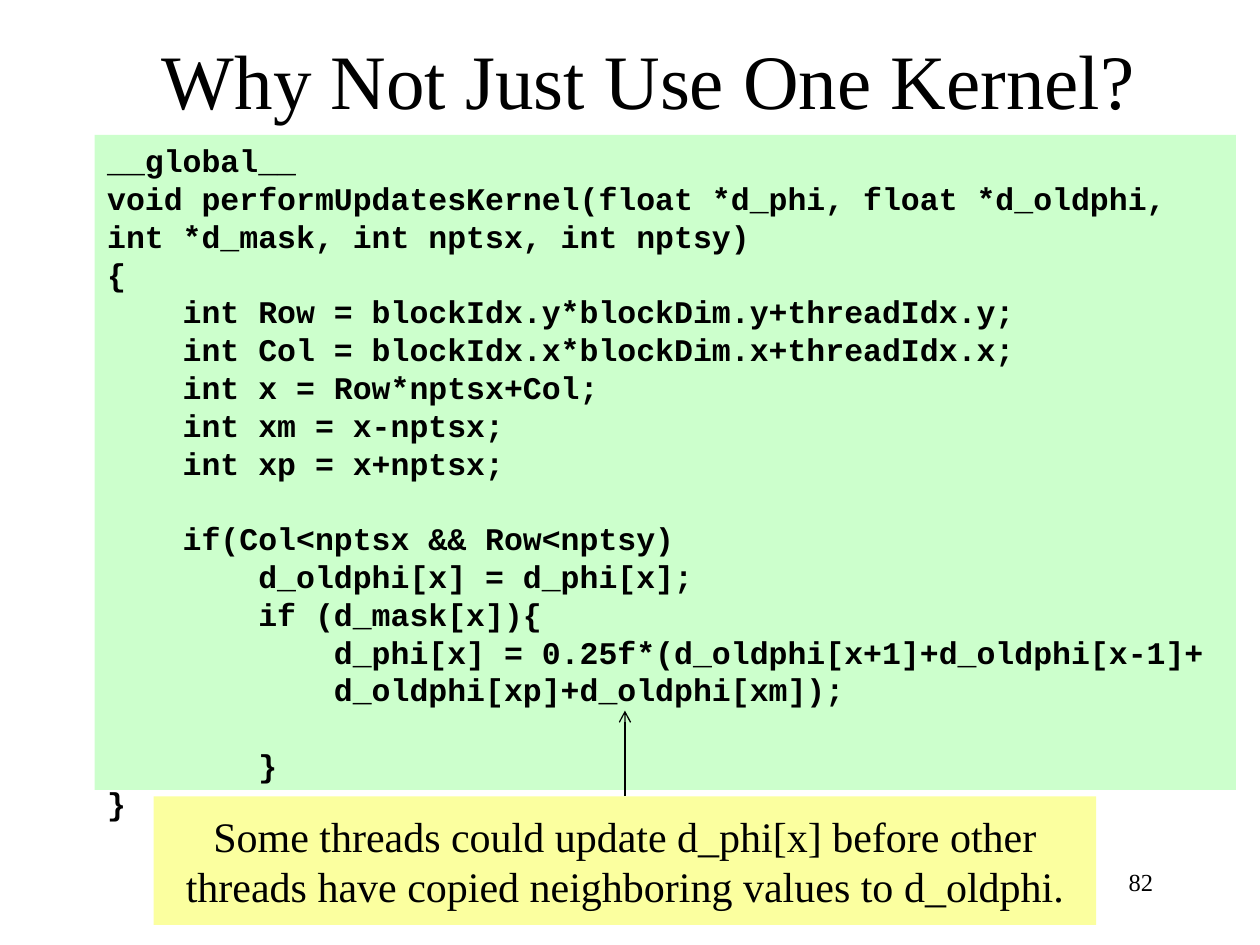
from lxml import etree
from pptx import Presentation
from pptx.dml.color import RGBColor
from pptx.enum.shapes import MSO_CONNECTOR, MSO_SHAPE
from pptx.enum.text import MSO_ANCHOR, MSO_AUTO_SIZE, PP_ALIGN
from pptx.oxml.ns import qn
from pptx.util import Inches, Pt

BLACK = RGBColor(0x00, 0x00, 0x00)
CODE_GREEN = RGBColor(0xCC, 0xFF, 0xCC)
NOTE_YELLOW = RGBColor(0xFB, 0xFF, 0x9F)
SERIF, MONO = "Times New Roman", "Courier New"
CENTER, RIGHT, LEFT = PP_ALIGN.CENTER, PP_ALIGN.RIGHT, PP_ALIGN.LEFT
MIDDLE, TOP = MSO_ANCHOR.MIDDLE, MSO_ANCHOR.TOP
NO_AUTOFIT = MSO_AUTO_SIZE.NONE
RECTANGLE, STRAIGHT = MSO_SHAPE.RECTANGLE, MSO_CONNECTOR.STRAIGHT
TITLE_AND_CONTENT = 1

CODE = """__global__
void performUpdatesKernel(float *d_phi, float *d_oldphi, int *d_mask, int nptsx, int nptsy)
{
    int Row = blockIdx.y*blockDim.y+threadIdx.y;
    int Col = blockIdx.x*blockDim.x+threadIdx.x;
    int x = Row*nptsx+Col;
    int xm = x-nptsx;
    int xp = x+nptsx;

    if(Col<nptsx && Row<nptsy)
        d_oldphi[x] = d_phi[x];
        if (d_mask[x]){
            d_phi[x] = 0.25f*(d_oldphi[x+1]+d_oldphi[x-1]+
            d_oldphi[xp]+d_oldphi[xm]);

        }
}"""
NOTE = ("Some threads could update d_phi[x] before other threads "
        "have copied neighboring values to d_oldphi.")


def place(shape, box):
    shape.left, shape.top, shape.width, shape.height = map(Inches, box)


def write(shape, text, size, font, align, anchor):
    """Fill a shape with evenly formatted paragraphs, one for each line."""
    frame = shape.text_frame
    frame.word_wrap = True
    frame.auto_size = NO_AUTOFIT
    frame.vertical_anchor = anchor
    frame.text = text
    for para in frame.paragraphs:
        para.alignment = align
        para.font.size = Pt(size)
        para.font.name = font
        para.font.color.rgb = BLACK


def fill(shape, color):
    shape.fill.solid()
    shape.fill.fore_color.rgb = color


def add_title(page, box):
    title = page.shapes.title
    place(title, box)
    write(title, "Why Not Just Use One Kernel?", 44, SERIF, CENTER, MIDDLE)


def add_code(page, box):
    body = page.placeholders[1]
    place(body, box)
    fill(body, CODE_GREEN)
    write(body, CODE, 18, MONO, LEFT, TOP)
    for para in body.text_frame.paragraphs:
        para.space_before = Pt(0)
        para.line_spacing = Pt(21.6)
        para.font.bold = True
        # Code has neither bullets nor a hanging indent
        properties = para._p.get_or_add_pPr()
        properties.set("marL", "0")
        properties.set("indent", "0")
        bullet = etree.Element(qn("a:buNone"))
        properties.find(qn("a:defRPr")).addprevious(bullet)


def add_page_number(page, box):
    number = page.shapes.add_textbox(*map(Inches, box))
    write(number, "82", 14, SERIF, RIGHT, TOP)


def add_note(page, box, arrow_length):
    """Callout with an arrow rising from the middle of its top edge."""
    left, top, width, _ = box
    middle = left + width / 2
    arrow = page.shapes.add_connector(
        STRAIGHT, *map(Inches, (middle, top, middle, top - arrow_length)))
    arrow.line.color.rgb = BLACK
    arrow.line.width = Pt(0.75)
    etree.SubElement(arrow.line._get_or_add_ln(), qn("a:tailEnd"), type="arrow")
    etree.SubElement(arrow._element.spPr, qn("a:effectLst"))

    note = page.shapes.add_shape(RECTANGLE, *map(Inches, box))
    note.shadow.inherit = False
    fill(note, NOTE_YELLOW)
    note.line.fill.background()
    write(note, NOTE, 24, SERIF, CENTER, MIDDLE)


def main():
    deck = Presentation()
    deck.slide_width, deck.slide_height = Inches(10), Inches(7.5)
    page = deck.slides.add_slide(deck.slide_layouts[TITLE_AND_CONTENT])
    add_title(page, (0.9, 0, 8.5, 1.25))
    add_code(page, (0.75, 1.07, 9.06, 5.2))
    add_page_number(page, (7.17, 6.83, 2.08, 0.5))
    add_note(page, (1.22, 6.32, 7.48, 1.02), arrow_length=0.68)
    deck.save("out.pptx")


if __name__ == "__main__":
    main()
